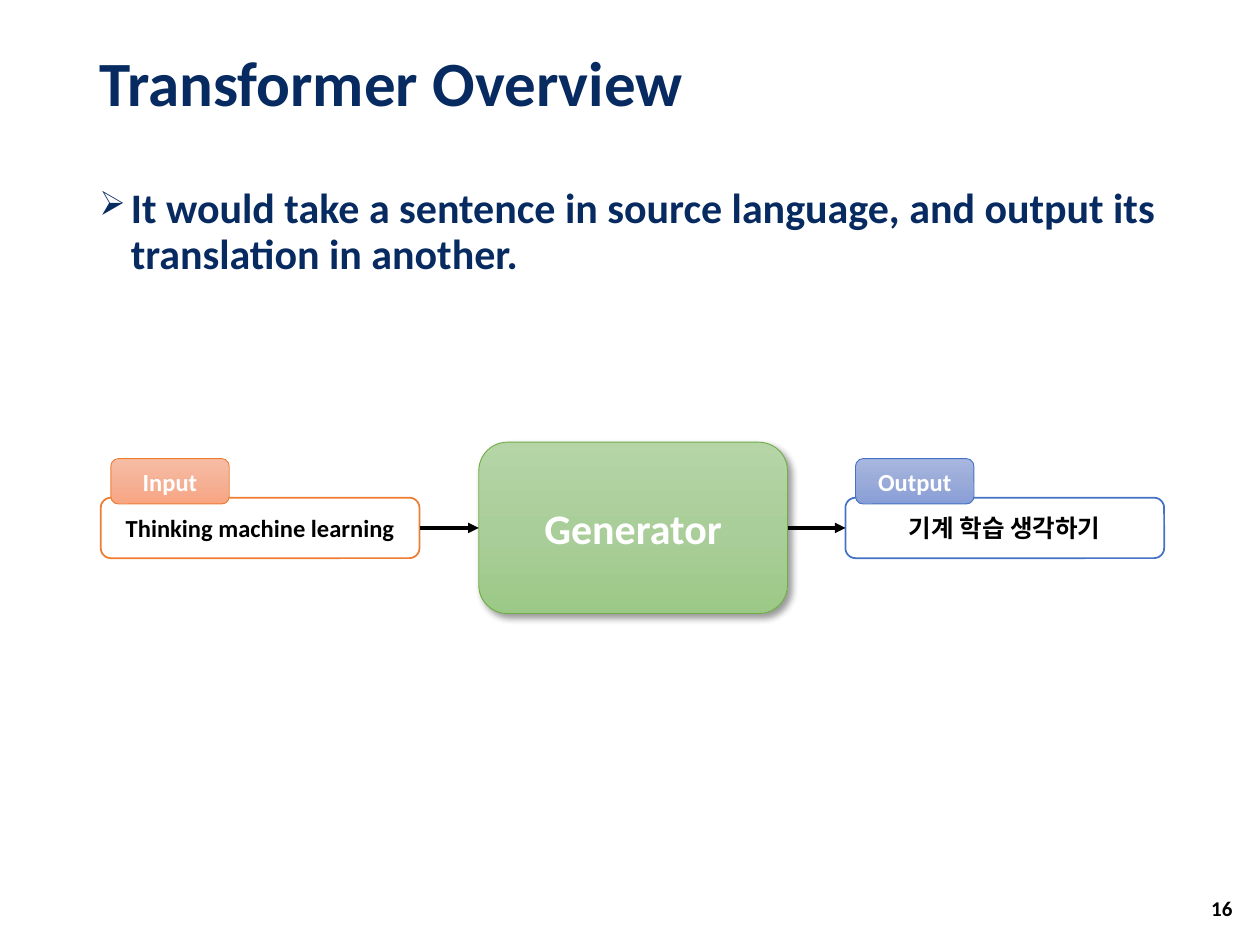
from lxml import etree
from pptx import Presentation
from pptx.dml.color import RGBColor
from pptx.enum.shapes import MSO_CONNECTOR, MSO_SHAPE
from pptx.enum.text import MSO_ANCHOR, PP_ALIGN
from pptx.oxml.ns import qn
from pptx.util import Inches, Pt

ROUNDED = MSO_SHAPE.ROUNDED_RECTANGLE
STRAIGHT = MSO_CONNECTOR.STRAIGHT
TOP, MIDDLE = MSO_ANCHOR.TOP, MSO_ANCHOR.MIDDLE
LEFT, CENTER, RIGHT = PP_ALIGN.LEFT, PP_ALIGN.CENTER, PP_ALIGN.RIGHT

NAVY, BLACK, WHITE = "072B61", "000000", "FFFFFF"
TITLE = "Transformer Overview"
BODY = "It would take a sentence in source language, and output its translation in another."
PAGE_NUMBER = "16"
GENERATOR = ("Generator", "70AD47", ["B5D5A7", "AACE9A", "9CC987"])
ENDS = [
    (0.8, "Input", "Thinking machine learning", "ED7D31", ["F7BDA5", "F5B196", "F8A582"]),
    (6.71, "Output", "기계 학습 생각하기", "4472C4", ["A8B7DF", "9AABD9", "889ED7"]),
]
AXIS = 4.19
END_WIDTH, END_HEIGHT = 2.53, 0.48
CORE_LEFT, CORE_WIDTH, CORE_HEIGHT = 3.8, 2.45, 1.36
TAB_INDENT, TAB_TOP, TAB_WIDTH, TAB_HEIGHT = 0.08, 3.64, 0.94, 0.36


def color(value):
    return RGBColor.from_string(value)


def add_xml(parent, tag, **attributes):
    return etree.SubElement(parent, qn(tag), attributes)


def write(shape, text, size, ink, align=CENTER, anchor=MIDDLE):
    frame = shape.text_frame
    frame.word_wrap = True
    frame.vertical_anchor = anchor
    para = frame.paragraphs[0]
    para.alignment = align
    span = para.add_run()
    span.text = text
    for name, value in {"name": "Calibri", "size": Pt(size), "bold": True}.items():
        setattr(span.font, name, value)
    span.font.color.rgb = color(ink)
    return para


def add_text(page, place, *text_format):
    box = page.shapes.add_textbox(*map(Inches, place))
    return write(box, *text_format)


def fill_gradient(shape, stops):
    shape.fill.gradient()
    shape.fill.gradient_angle = 270
    stop_list = shape._element.spPr.find(qn("a:gradFill")).find(qn("a:gsLst"))
    for old in list(stop_list):
        stop_list.remove(old)
    for index, value in enumerate(stops):
        position = index * 100000 // (len(stops) - 1)
        stop = add_xml(stop_list, "a:gs", pos=str(position))
        add_xml(stop, "a:srgbClr", val=value)


def add_box(page, place, text, size, ink, outline, line_width, stops=None):
    box = page.shapes.add_shape(ROUNDED, *map(Inches, place))
    box.shadow.inherit = False
    if stops:
        fill_gradient(box, stops)
    else:
        box.fill.solid()
        box.fill.fore_color.rgb = color(WHITE)
    box.line.color.rgb = color(outline)
    box.line.width = Pt(line_width)
    write(box, text, size, ink)
    return box


def add_shadow(box):
    effects = box._element.spPr.find(qn("a:effectLst"))
    shadow = add_xml(effects, "a:outerShdw", blurRad=str(Pt(4)), dist=str(Pt(3)),
                     dir="2700000", algn="tl", rotWithShape="0")
    tint = add_xml(shadow, "a:srgbClr", val=BLACK)
    add_xml(tint, "a:alpha", val="40000")


def add_arrow(page, start, end):
    arrow = page.shapes.add_connector(
        STRAIGHT, Inches(start), Inches(AXIS), Inches(end), Inches(AXIS))
    arrow.line.color.rgb = color(BLACK)
    arrow.line.width = Pt(2)
    add_xml(arrow.line._get_or_add_ln(), "a:tailEnd", type="triangle")
    add_xml(arrow._element.spPr, "a:effectLst")


def add_bullet(para):
    properties = para._p.get_or_add_pPr()
    properties.set("marL", str(Inches(0.25)))
    properties.set("indent", str(Inches(-0.25)))
    add_xml(properties, "a:buSzPct", val="80000")
    add_xml(properties, "a:buChar", char="➢")


def main():
    deck = Presentation()
    deck.slide_width, deck.slide_height = Inches(10), Inches(7.5)
    page = deck.slides.add_slide(deck.slide_layouts[6])

    title = add_text(page, (0.69, 0.18, 8.62, 1.01), TITLE, 36, NAVY, LEFT)
    body = add_text(page, (0.69, 1.44, 8.62, 5.44), BODY, 24, NAVY, LEFT, TOP)
    title.line_spacing = body.line_spacing = 0.9
    body.space_before = Pt(10)
    add_bullet(body)

    name, outline, stops = GENERATOR
    core_place = (CORE_LEFT, AXIS - CORE_HEIGHT / 2, CORE_WIDTH, CORE_HEIGHT)
    add_shadow(add_box(page, core_place, name, 24, WHITE, outline, 0.5, stops))

    for left, label, sentence, outline, stops in ENDS:
        end_place = (left, AXIS - END_HEIGHT / 2, END_WIDTH, END_HEIGHT)
        tab_place = (left + TAB_INDENT, TAB_TOP, TAB_WIDTH, TAB_HEIGHT)
        add_box(page, end_place, sentence, 14, BLACK, outline, 1)
        add_box(page, tab_place, label, 14, WHITE, outline, 0.5, stops)

    input_left, output_left = (end[0] for end in ENDS)
    add_arrow(page, input_left + END_WIDTH, CORE_LEFT)
    add_arrow(page, CORE_LEFT + CORE_WIDTH, output_left)

    add_text(page, (9.36, 7.01, 0.52, 0.4), PAGE_NUMBER, 12, BLACK, RIGHT)
    deck.save("out.pptx")


if __name__ == "__main__":
    main()
